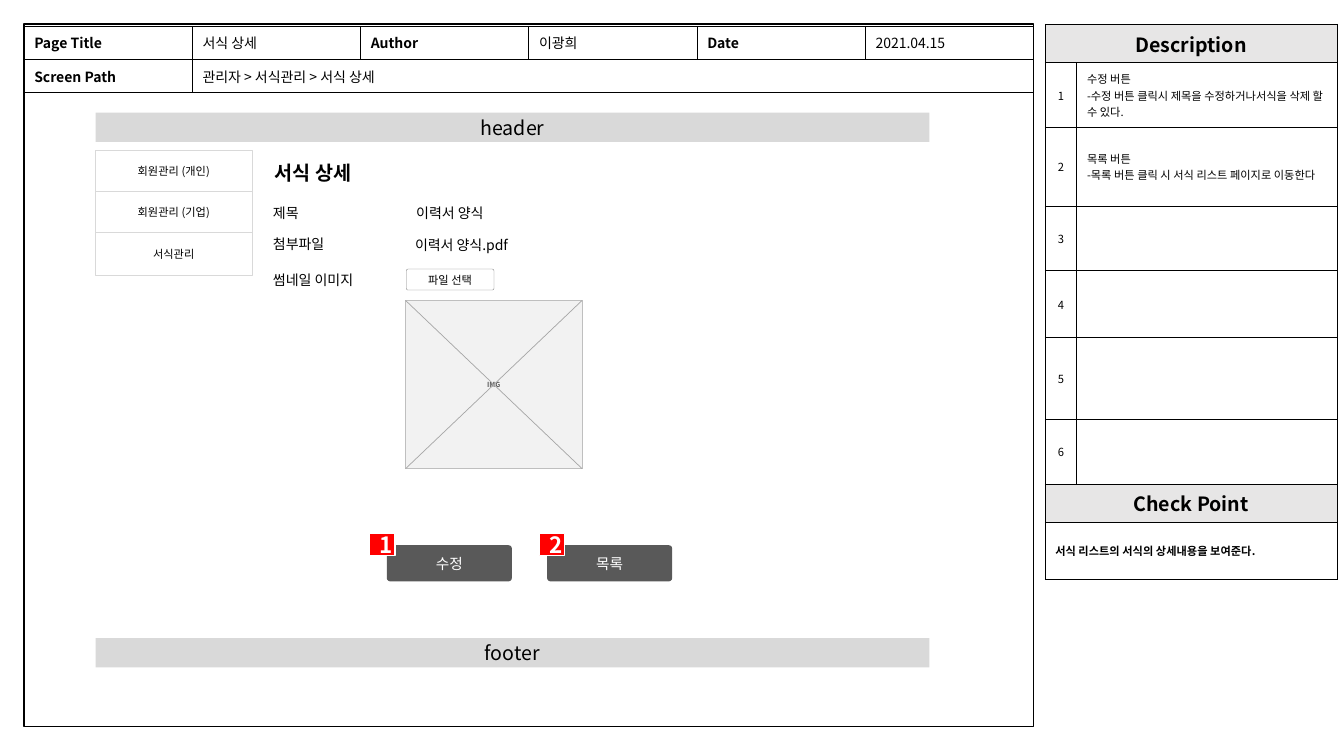
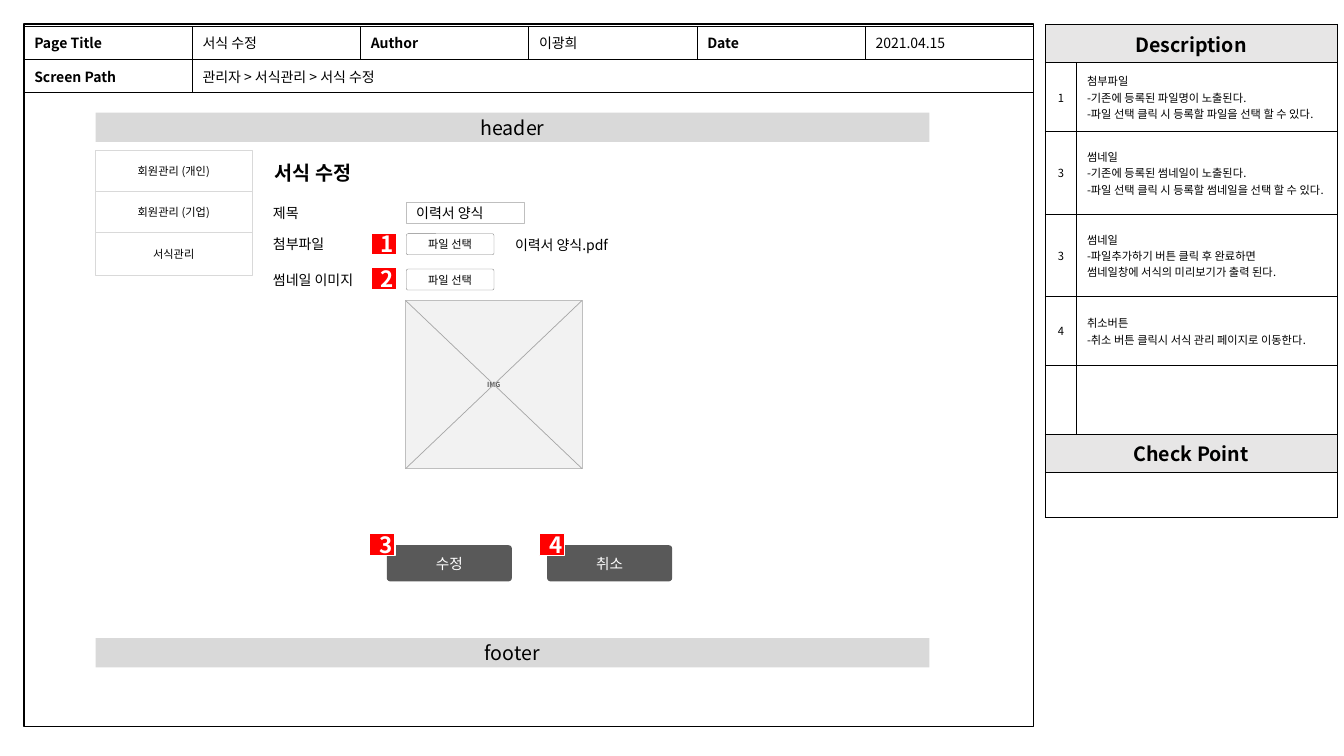
import pptx
import pptx.util
import pptx.dml.color
import pptx.enum.shapes
import pptx.enum.text
import pptx.oxml.ns
from lxml import etree

Cm = pptx.util.Cm
Pt = pptx.util.Pt
RGBColor = pptx.dml.color.RGBColor
Shape = pptx.enum.shapes.MSO_SHAPE
Align = pptx.enum.text.PP_ALIGN
Anchor = pptx.enum.text.MSO_ANCHOR
qn = pptx.oxml.ns.qn

BLACK = RGBColor(0x00, 0x00, 0x00)
WHITE = RGBColor(0xFF, 0xFF, 0xFF)
RED = RGBColor(0xFF, 0x00, 0x00)
DARK = RGBColor(0x59, 0x59, 0x59)
GRAY = RGBColor(0x80, 0x80, 0x80)
CROSS = RGBColor(0xA6, 0xA6, 0xA6)
EDGE = RGBColor(0xBF, 0xBF, 0xBF)
BAND = RGBColor(0xD9, 0xD9, 0xD9)
HEAD = RGBColor(0xE7, 0xE6, 0xE6)
PALE = RGBColor(0xF2, 0xF2, 0xF2)
FONT = "Noto Sans CJK KR"
LEFT = 0.61
BAR = 2.41
LABEL = 6.63
FIELD = 10.24
MENU = ["회원관리 (개인)", "회원관리 (기업)", "서식관리"]

VIEW = {
    "title": "서식 상세",
    "notes": [
        ("1", 1.63, ["수정 버튼", "-수정 버튼 클릭시 제목을 수정하거나서식을 삭제 할 수 있다."]),
        ("2", 1.98, ["목록 버튼", "-목록 버튼 클릭 시 서식 리스트 페이지로 이동한다"]),
        ("3", 1.63, []),
        ("4", 1.68, []),
        ("5", 2.06, []),
        ("6", 1.63, []),
    ],
    "check": (1.42, ["서식 리스트의 서식의 상세내용을 보여준다."]),
    "buttons": [("1", "수정"), ("2", "목록")],
}
EDIT = {
    "title": "서식 수정",
    "notes": [
        ("1", 1.73, ["첨부파일", "-기존에 등록된 파일명이 노출된다.",
                     "-파일 선택 클릭 시 등록할 파일을 선택 할 수 있다."]),
        ("3", 2.08, ["썸네일", "-기존에 등록된 썸네일이 노출된다.",
                     "-파일 선택 클릭 시 등록할 썸네일을 선택 할 수 있다."]),
        ("3", 2.08, ["썸네일", "-파일추가하기 버튼 클릭 후 완료하면",
                     "썸네일창에 서식의 미리보기가 출력 된다."]),
        ("4", 1.73, ["취소버튼", "-취소 버튼 클릭시 서식 관리 페이지로 이동한다."]),
        ("", 1.73, []),
    ],
    "check": (1.12, []),
    "buttons": [("3", "수정"), ("4", "취소")],
}


def write(frame, lines, size, color=BLACK, bold=False, align=Align.LEFT, font=FONT):
    frame.word_wrap = True
    for i, line in enumerate(lines):
        para = frame.paragraphs[0] if i == 0 else frame.add_paragraph()
        para.alignment = align
        run = para.add_run()
        run.text = line
        run.font.size = Pt(size)
        run.font.bold = bold
        run.font.color.rgb = color
        run.font.name = font
        etree.SubElement(run.font._element, qn("a:ea"), typeface=FONT)


def add_box(slide, x, y, w, h, fill=None, line=None, width=0.25, kind=Shape.RECTANGLE):
    box = slide.shapes.add_shape(kind, Cm(x), Cm(y), Cm(w), Cm(h))
    box.shadow.inherit = False
    if kind == Shape.ROUNDED_RECTANGLE:
        box.adjustments[0] = 0.09
    if fill is None:
        box.fill.background()
    else:
        box.fill.solid()
        box.fill.fore_color.rgb = fill
    if line is None:
        box.line.fill.background()
    else:
        box.line.color.rgb = line
        box.line.width = Pt(width)
    box.text_frame.vertical_anchor = Anchor.MIDDLE
    return box


def add_text(slide, x, y, w, h, text, size, anchor=Anchor.TOP, **style):
    box = slide.shapes.add_textbox(Cm(x), Cm(y), Cm(w), Cm(h))
    box.text_frame.vertical_anchor = anchor
    write(box.text_frame, [text], size, **style)


def add_line(slide, x1, y1, x2, y2):
    line = slide.shapes.add_connector(
        pptx.enum.shapes.MSO_CONNECTOR.STRAIGHT, Cm(x1), Cm(y1), Cm(x2), Cm(y2))
    line.line.color.rgb = CROSS
    line.line.width = Pt(0.5)
    etree.SubElement(line._element.spPr, qn("a:effectLst"))


def add_grid(slide, x, y, cols, rows):
    frame = slide.shapes.add_table(
        len(rows), len(cols), Cm(x), Cm(y), Cm(sum(cols)), Cm(sum(rows)))
    table = frame.table
    table.first_row = False
    table.horz_banding = False
    for col, width in zip(table.columns, cols):
        col.width = Cm(width)
    for row, height in zip(table.rows, rows):
        row.height = Cm(height)
    for cell in table.iter_cells():
        cell.vertical_anchor = Anchor.MIDDLE
        props = cell._tc.get_or_add_tcPr()
        for side in ("lnL", "lnR", "lnT", "lnB"):
            edge = etree.SubElement(props, qn("a:" + side), w=str(Pt(0.75)))
            fill = etree.SubElement(edge, qn("a:solidFill"))
            etree.SubElement(fill, qn("a:srgbClr"), val=str(BLACK))
        cell.fill.background()
    return table


def paint(cell, color):
    cell.fill.solid()
    cell.fill.fore_color.rgb = color


def add_info(slide, title):
    table = add_grid(slide, LEFT, 0.66, [4.24] * 6, [0.84] * 2)
    table.cell(1, 1).merge(table.cell(1, 5))
    rows = [
        ["Page Title", title, "Author", "이광희", "Date", "2021.04.15"],
        ["Screen Path", "관리자 > 서식관리 > " + title],
    ]
    for r, row in enumerate(rows):
        for c, text in enumerate(row):
            cell = table.cell(r, c)
            paint(cell, WHITE)
            write(cell.text_frame, [text], 10, bold=c % 2 == 0)


def add_notes(slide, notes, check):
    rows = [0.79] + [height for _, height, _ in notes] + [0.79, check[0]]
    table = add_grid(slide, 26.34, LEFT, [0.8, 6.56], rows)
    last = len(rows) - 1
    for r in (0, last - 1, last):
        table.cell(r, 0).merge(table.cell(r, 1))
    for r, text in ((0, "Description"), (last - 1, "Check Point")):
        paint(table.cell(r, 0), HEAD)
        write(table.cell(r, 0).text_frame, [text], 14, bold=True, align=Align.CENTER)
    for r, (mark, _, lines) in enumerate(notes, 1):
        if mark:
            write(table.cell(r, 0).text_frame, [mark], 8, align=Align.CENTER)
        write(table.cell(r, 1).text_frame, lines, 8)
    write(table.cell(last, 0).text_frame, check[1], 8, bold=True)


def add_menu(slide):
    for i, text in enumerate(MENU):
        item = add_box(slide, BAR, 3.78 + 1.04 * i, 3.94, 1.07, WHITE, BAND)
        write(item.text_frame, [text], 8, align=Align.CENTER)


def add_badge(slide, x, y, text):
    badge = add_box(slide, x, y, 0.64, 0.56, RED, WHITE, 1)
    write(badge.text_frame, [text], 16, WHITE, True, Align.CENTER)


def add_picker(slide, y):
    box = add_box(slide, FIELD, y, 2.21, 0.53, None, GRAY, kind=Shape.ROUNDED_RECTANGLE)
    frame = box.text_frame
    frame.margin_left = frame.margin_right = frame.margin_top = frame.margin_bottom = 0
    write(frame, ["파일 선택"], 8, align=Align.CENTER)


def add_thumb(slide):
    x, y, w, h = 10.22, 7.57, 4.45, 4.24
    box = add_box(slide, x, y, w, h, PALE, EDGE, 0.5)
    write(box.text_frame, ["IMG"], 5, DARK, True, Align.CENTER)
    add_line(slide, x, y, x + w, y + h)
    add_line(slide, x + w, y, x, y + h)


def add_buttons(slide, buttons):
    for i, (mark, text) in enumerate(buttons):
        box = add_box(slide, 9.75 + 4.04 * i, 13.74, 3.15, 0.91, DARK,
                      kind=Shape.ROUNDED_RECTANGLE)
        box.text_frame.margin_top = box.text_frame.margin_bottom = 0
        write(box.text_frame, [text], 10.5, WHITE, align=Align.CENTER)
        add_badge(slide, 9.32 + 4.27 * i, 13.44, mark)


def add_page(deck, page):
    slide = deck.slides.add_slide(deck.slide_layouts[6])
    add_box(slide, LEFT, LEFT, 25.43, 17.7, None, BLACK, 1)
    add_notes(slide, page["notes"], page["check"])
    add_info(slide, page["title"])
    for y, text in ((2.84, "header"), (16.08, "footer")):
        bar = add_box(slide, BAR, y, 21.01, 0.74, BAND)
        write(bar.text_frame, [text], 14, align=Align.CENTER)
    add_menu(slide)
    add_text(slide, 6.68, 3.94, 3.5, 0.86, page["title"], 14, bold=True, font="Arial")
    for y, text in ((5.03, "제목"), (5.82, "첨부파일"), (6.71, "썸네일 이미지")):
        add_text(slide, LABEL, y, 3.58, 0.69, text, 10, font="Calibri")
    add_picker(slide, 6.78)
    add_thumb(slide)
    add_buttons(slide, page["buttons"])
    return slide


def add_values(slide, edit):
    name = add_box(slide, FIELD, 5.11, 2.97, 0.53, None, EDGE if edit else None, 0.5)
    write(name.text_frame, ["이력서 양식"], 10)
    add_text(slide, 12.73 if edit else 10.21, 5.91, 5.13, 0.53,
             "이력서 양식.pdf", 10, Anchor.MIDDLE)
    if edit:
        add_picker(slide, 5.89)
        add_badge(slide, 9.35, 5.87, "1")
        add_badge(slide, 9.35, 6.73, "2")


def main():
    deck = pptx.Presentation()
    deck.slide_width = Cm(33.87)
    deck.slide_height = Cm(19.05)
    for page in (VIEW, EDIT):
        add_values(add_page(deck, page), page is EDIT)
    deck.save("out.pptx")


if __name__ == "__main__":
    main()
